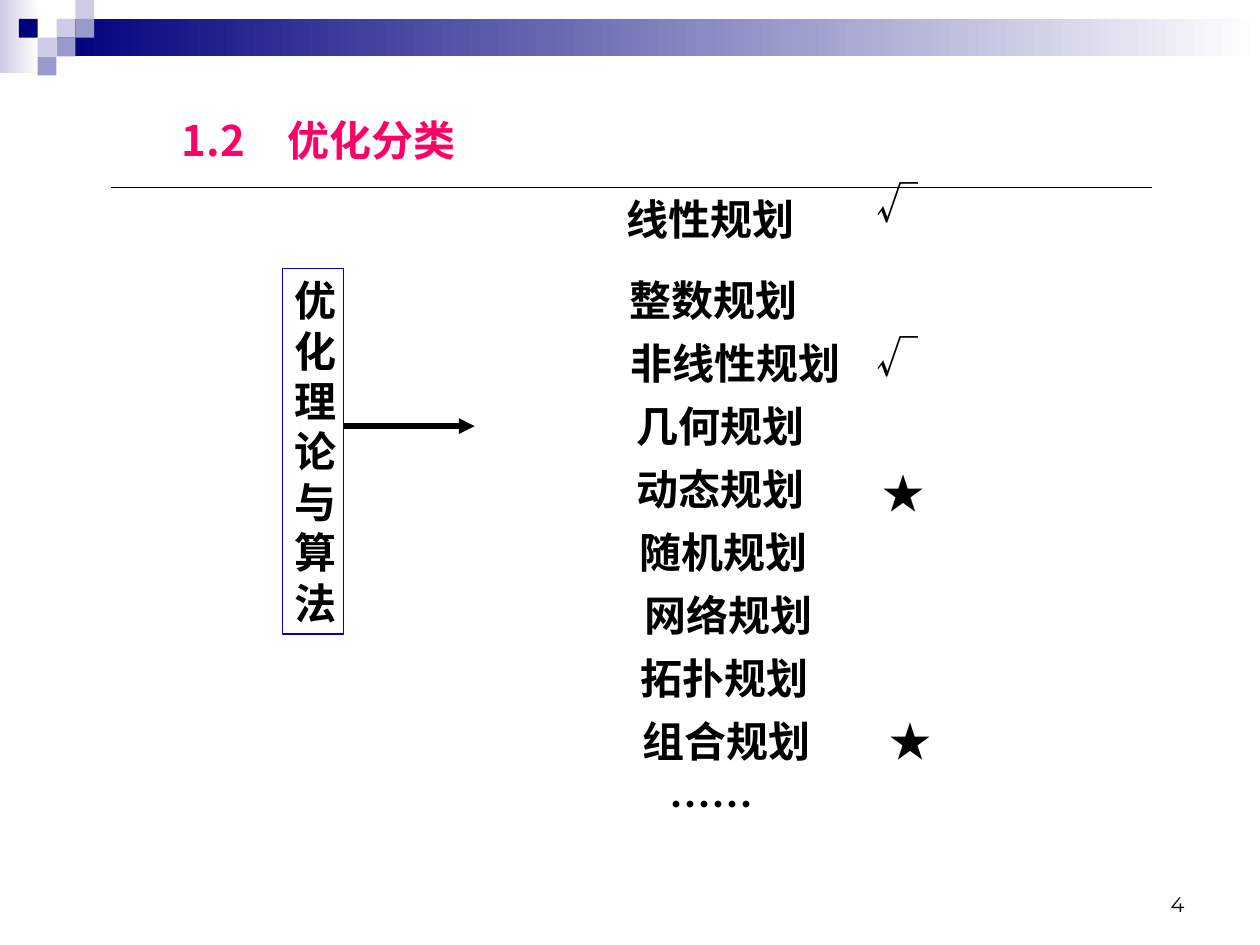
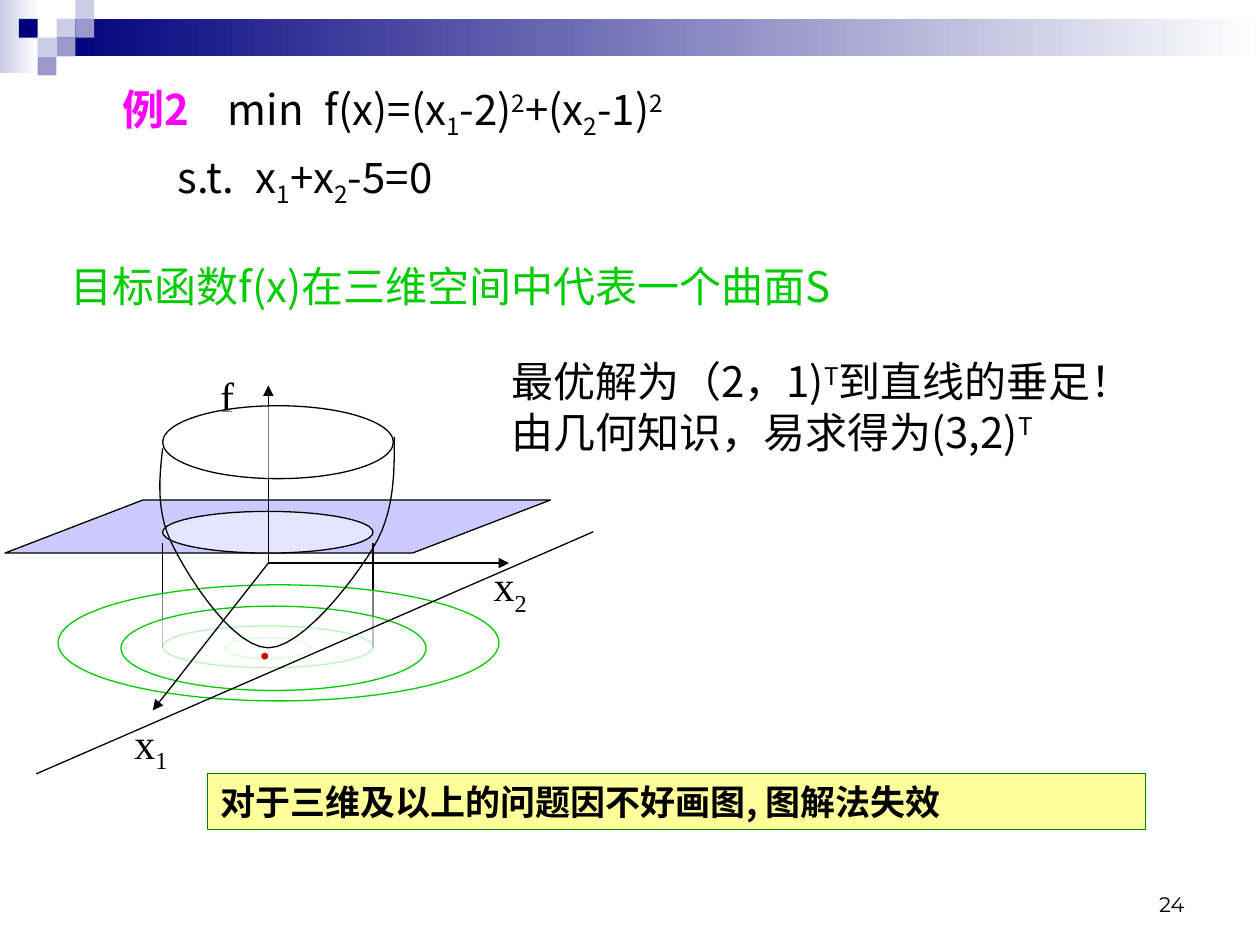
"""Build two slides on optimisation classes and a graphic solution."""
from lxml import etree
from pptx import Presentation
from pptx.dml.color import RGBColor
from pptx.enum.shapes import MSO_CONNECTOR, MSO_SHAPE
from pptx.enum.text import MSO_ANCHOR, MSO_AUTO_SIZE, PP_ALIGN
from pptx.oxml.ns import qn
from pptx.util import Cm, Pt

RECT, OVAL, SLANT = MSO_SHAPE.RECTANGLE, MSO_SHAPE.OVAL, MSO_SHAPE.PARALLELOGRAM
LINE, BOX = "line", "box"
LEFT, MID, RIGHT = PP_ALIGN.LEFT, PP_ALIGN.CENTER, PP_ALIGN.RIGHT
TOP, BOTTOM = MSO_ANCHOR.TOP, MSO_ANCHOR.BOTTOM
NONE = MSO_AUTO_SIZE.NONE
STRAIGHT = MSO_CONNECTOR.STRAIGHT

BLACK = RGBColor(0, 0, 0)
WHITE = RGBColor(255, 255, 255)
NAVY = RGBColor(0x00, 0x00, 0x7D)
LILAC = RGBColor(0x99, 0x99, 0xCC)
PALE = RGBColor(0xCC, 0xCC, 0xE6)
ROSE = RGBColor(0xFF, 0x00, 0x66)
PINK = RGBColor(0xFF, 0x00, 0xFF)
BLUE = RGBColor(0x00, 0x00, 0xCC)
PLANE = RGBColor(0x99, 0x99, 0xFF)
GREEN = RGBColor(0x00, 0xCC, 0x00)
DARK = RGBColor(0x00, 0x80, 0x00)
RED = RGBColor(0xCC, 0x00, 0x00)
YELLOW = RGBColor(0xFF, 0xFF, 0x99)

SANS, SERIF, DIGIT = "Noto Sans CJK SC", "Times New Roman", "Montserrat"
SHIFT = {"_": "-25000", "^": "30000"}


def draw(slide, kind, x, y, w, h, fill=None, edge=None, alpha=None, thick=0.74, arrow=False):
    shapes = slide.shapes
    if kind == BOX:
        return shapes.add_textbox(Cm(x), Cm(y), Cm(w), Cm(h))
    if kind == LINE:
        shape = shapes.add_connector(STRAIGHT, Cm(x), Cm(y), Cm(x + w), Cm(y + h))
        edge = BLACK
    else:
        shape = shapes.add_shape(kind, Cm(x), Cm(y), Cm(w), Cm(h))
        shape.shadow.inherit = False
        if fill is None:
            shape.fill.background()
        else:
            shape.fill.solid()
            shape.fill.fore_color.rgb = fill
        if alpha:
            tint = shape.element.spPr.find(qn("a:solidFill"))[0]
            etree.SubElement(tint, qn("a:alpha")).set("val", str(alpha * 1000))
    if edge is None:
        shape.line.fill.background()
    else:
        shape.line.color.rgb = edge
        shape.line.width = Pt(thick)
    if arrow:
        etree.SubElement(shape.line._get_or_add_ln(), qn("a:tailEnd")).set("type", "triangle")
    if kind == LINE:
        etree.SubElement(shape.element.spPr, qn("a:effectLst"))
    return shape


def write(shape, lines, color=BLACK, bold=False, size=24, face=SANS, align=LEFT,
          wrap=True, anchor=TOP, before=0):
    frame = shape.text_frame
    frame.word_wrap, frame.vertical_anchor, frame.auto_size = wrap, anchor, NONE
    frame.margin_left = frame.margin_right = Cm(0.25)
    frame.margin_top = frame.margin_bottom = Cm(0.13)
    for i, line in enumerate(lines):
        para = frame.add_paragraph() if i else frame.paragraphs[0]
        para.alignment, para.space_before = align, Pt(before)
        font = para.font
        font.size, font.bold, font.name = Pt(size), bold, face
        font.color.rgb = color
        base = para._p.pPr.find(qn("a:defRPr"))
        etree.SubElement(base, qn("a:ea")).set("typeface", face)
        for part in line.split("|"):
            run = para.add_run()
            run.text = part.lstrip("_^")
            if part[0] in SHIFT:
                run._r.get_or_add_rPr().set("baseline", SHIFT[part[0]])


prs = Presentation()
prs.slide_width, prs.slide_height = Cm(25.4), Cm(19.05)
layout = prs.slide_layouts[5]
kinds, graph = [prs.slides.add_slide(layout) for _ in range(2)]

band = []
for x, y, w, h, tone in [(0, 0, 0.79, 1.47, PALE), (1.14, 0.38, 24.26, 0.76, NAVY)]:
    bar = draw(kinds, RECT, x, y, w, h, WHITE)
    bar.fill.gradient()
    bar.fill.gradient_angle = 180
    for stop, shade in zip(bar.fill.gradient_stops, (WHITE, tone)):
        stop.color.rgb = shade
    band.append(bar)
STEP = 0.38
for col, row, tone in [(3, 1, PALE), (4, 0, PALE), (4, 1, LILAC), (2, 2, PALE),
                       (1, 1, NAVY), (3, 2, LILAC), (2, 3, LILAC)]:
    band.append(draw(kinds, RECT, col * STEP, row * STEP, STEP, STEP, tone))
for shape in band:
    layout.shapes.element.append(shape.element)

for slide, page in [(kinds, "4"), (graph, "24")]:
    write(draw(slide, BOX, 18.21, 17.35, 5.92, 1.27), [page], size=12, face=DIGIT,
          align=RIGHT, anchor=BOTTOM)

title = kinds.shapes.title
title.left, title.top, title.width, title.height = Cm(1.42), Cm(2.18), Cm(10), Cm(1.27)
write(title, ["1.2\u3000优化分类"], ROSE, True, align=MID)
draw(kinds, LINE, 2.24, 3.78, 20.98, 0)

root = draw(kinds, RECT, 5.69, 5.41, 1.24, 7.37, edge=BLUE)
write(root, ["优化理论与算法"], bold=True, align=MID)
draw(kinds, LINE, 6.93, 8.59, 2.64, 0, thick=3, arrow=True)

write(draw(kinds, BOX, 10.13, 3.78, 8.38, 1.27), ["线性规划"], bold=True, align=MID)
names = [("整数规划", 10.19, 8.38), ("非线性规划", 10.64, 8.38), ("几何规划", 10.34, 8.38),
         ("动态规划", 10.34, 8.38), ("随机规划", 10.39, 8.38), ("网络规划", 10.49, 8.38),
         ("拓扑规划", 11.76, 5.69), ("组合规划", 10.46, 8.38), ("……", 12.24, 4.19)]
for i, (name, x, w) in enumerate(names):
    write(draw(kinds, BOX, x, 5.41 + 1.27 * i, w, 1.27), [name], bold=True, align=MID)
for mark, x, y, w in [("√", 17.22, 3.45, 1.73), ("√", 17.22, 6.55, 1.73),
                      ("★", 16.74, 14.3, 3.25), ("★", 16.59, 9.3, 3.25)]:
    write(draw(kinds, BOX, x, y, w, 1.27), [mark], align=MID)

title = graph.shapes.title
title.left, title.top, title.width, title.height = Cm(2.21), Cm(1.55), Cm(13.11), Cm(2.79)
write(title, ["例2|\tmin\u2002f(x)=(x|_1|-2)|^2|+(x|_2|-1)|^2", "s.t.\u2002x|_1|+x|_2|-5=0"],
      wrap=False, before=6)
first, second = title.text_frame.paragraphs
first.runs[0].font.bold = True
first.runs[0].font.color.rgb = PINK
tabs = etree.Element(qn("a:tabLst"))
etree.SubElement(tabs, qn("a:tab"), pos=str(Cm(2.13)), algn="l")
first._p.pPr.find(qn("a:defRPr")).addprevious(tabs)
second._p.pPr.set("marL", str(Cm(1.12)))

draw(graph, OVAL, 4.55, 12.85, 1.7, 0.43, WHITE, GREEN, 50)
plane = draw(graph, SLANT, 0.1, 10.08, 11, 1.07, PLANE, BLACK, 50)
plane.adjustments[0] = 2.6
for y, edge in [(10.31, BLACK), (12.62, GREEN)]:
    draw(graph, OVAL, 3.28, y, 4.24, 0.84, WHITE, edge, 50)
for x in (3.28, 7.52):
    draw(graph, LINE, x, 10.95, 0, 2.11)
for x, y, w, h in [(1.17, 11.79, 8.89, 2.34), (2.44, 12.22, 6.15, 1.7)]:
    draw(graph, OVAL, x, y, w, h, WHITE, GREEN, 50)
for dx, dy in [(4.85, 0), (0, -3.58), (-2.33, 2.97)]:
    draw(graph, LINE, 5.41, 11.35, dx, dy, arrow=True)
for text, x, y, w in [("x|_1", 2.46, 14.33, 1.17), ("x|_2", 9.7, 11.15, 1.17),
                      ("f", 4.19, 7.34, 0.79)]:
    write(draw(graph, BOX, x, y, w, 1.27), [text], face=SERIF, wrap=False)
draw(graph, OVAL, 3.28, 8.18, 4.65, 1.47, WHITE, BLACK, 50)

knots = [(3.28, 9.04), (3.2, 9.7), (3.15, 10.39), (3.51, 11.05), (3.84, 11.71),
         (4.72, 13.06), (5.41, 13.06), (6.07, 13.06), (7.09, 11.76), (7.52, 11.05),
         (7.95, 10.34), (7.95, 9.58), (7.95, 8.81)]
dots = []
for i in range(0, 12, 3):
    for n in range(1, 13):
        t = n / 12
        mix = ((1 - t) ** 3, 3 * t * (1 - t) ** 2, 3 * t * t * (1 - t), t ** 3)
        dots.append([Cm(sum(m * p[k] for m, p in zip(mix, knots[i:i + 4]))) for k in (0, 1)])
pen = graph.shapes.build_freeform(Cm(knots[0][0]), Cm(knots[0][1]))
pen.add_line_segments(dots, close=False)
bowl = pen.convert_to_shape()
bowl.shadow.inherit = False
bowl.fill.background()
bowl.line.color.rgb = BLACK
bowl.line.width = Pt(0.74)

write(draw(graph, BOX, 4.95, 12.55, 0.79, 1.27), ["·"], RED, True, face=SERIF, wrap=False)
draw(graph, LINE, 11.96, 10.72, -11.23, 4.88)
write(draw(graph, BOX, 10.06, 7.04, 13.89, 2.29),
      ["最优解为（2，1)|^T|到直线的垂足！", "由几何知识，易求得为(3,2)|^T"])
write(draw(graph, BOX, 1.17, 5.13, 19.28, 1.27), ["目标函数f(x)在三维空间中代表一个曲面S"], GREEN)
note = draw(graph, RECT, 4.19, 15.6, 18.9, 1.12, YELLOW, DARK)
write(note, ["对于三维及以上的问题因不好画图, 图解法失效"], bold=True, size=20)

prs.save("out.pptx")
